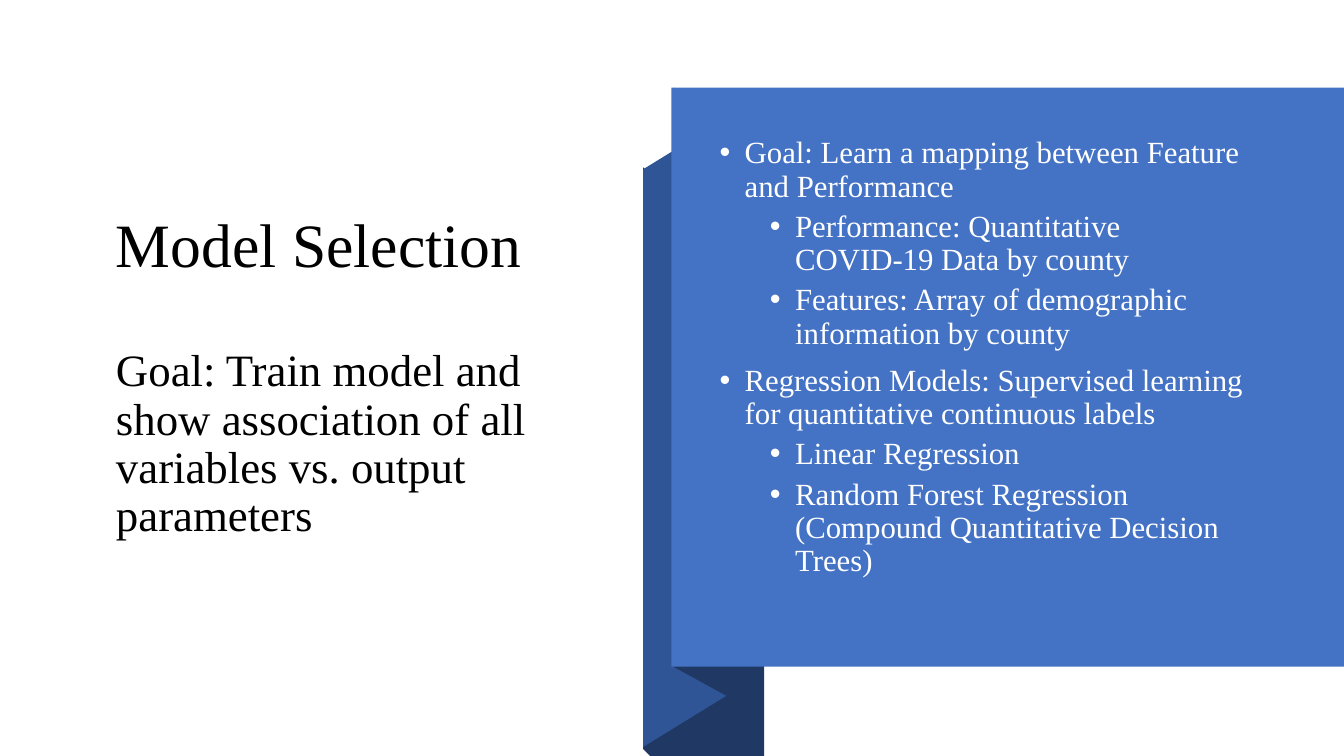
from dataclasses import dataclass

from lxml.etree import SubElement as Sub
from pptx import Presentation as Deck
from pptx.dml.color import RGBColor as Color
from pptx.enum.shapes import MSO_SHAPE as Shape
from pptx.enum.text import MSO_ANCHOR as Anchor, MSO_AUTO_SIZE as Fit, PP_ALIGN as Align
from pptx.oxml.ns import qn
from pptx.util import Inches, Pt


@dataclass(frozen=True)
class Theme:
    font: str = "Times New Roman"
    ink: str = "000000"
    paper: str = "FFFFFF"
    panel: str = "4472C4"
    fold: str = "2F5597"
    shade: str = "203864"
    head: int = 44
    sub: int = 32
    body: int = 22


class Page:
    """A title-only slide; lengths are percentages of its width and height."""

    def __init__(self, theme):
        self.theme = theme
        self.deck = Deck()
        self.deck.slide_width, self.deck.slide_height = Inches(13.33), Inches(7.5)
        self.slide = self.deck.slides.add_slide(self.deck.slide_layouts[5])
        self.group = self.slide.shapes.add_group_shape()

    def spot(self, x, y):
        return (round(self.deck.slide_width * x / 100),
                round(self.deck.slide_height * y / 100))

    def area(self, x, y, w, h):
        return self.spot(x, y) + self.spot(w, h)

    def apply(self, item, style):
        for name, value in style.items():
            setattr(item, name, value)

    def paint(self, shape, color):
        shape.shadow.inherit = False
        shape.fill.solid()
        shape.fill.fore_color.rgb = Color.from_string(color)
        shape.line.fill.background()

    def frame(self, shape):
        self.apply(shape.text_frame, dict(
            word_wrap=True, auto_size=Fit.NONE, vertical_anchor=Anchor.MIDDLE))
        return shape.text_frame

    def put(self, para, text, size, color, gap):
        self.apply(para, dict(
            alignment=Align.LEFT, line_spacing=0.9, space_before=Pt(gap)))
        run = para.add_run()
        run.text = text
        self.apply(run.font, dict(name=self.theme.font, size=Pt(size)))
        run.font.color.rgb = Color.from_string(color)

    def title(self, box, head, sub):
        shape = self.slide.shapes.title
        self.apply(shape, dict(zip(("left", "top", "width", "height"), self.area(*box))))
        frame = self.frame(shape)
        self.put(frame.paragraphs[0], head, self.theme.head, self.theme.ink, 0)
        self.put(frame.add_paragraph(), sub, self.theme.sub, self.theme.ink, 48)

    def outline(self, points, color):
        start, *rest = [self.spot(*point) for point in points]
        edge = self.group.shapes.build_freeform(*start, scale=1.0)
        edge.add_line_segments(rest, close=True)
        self.paint(edge.convert_to_shape(), color)

    def rect(self, box, color):
        self.paint(self.group.shapes.add_shape(Shape.RECTANGLE, *self.area(*box)), color)

    def bullets(self, box, items):
        frame = self.frame(self.slide.shapes.add_textbox(*self.area(*box)))
        for i, (level, text) in enumerate(items):
            para = frame.add_paragraph() if i else frame.paragraphs[0]
            para.level = level
            props = para._p.get_or_add_pPr()
            props.set("marL", str(Inches(0.25 + 0.5 * level)))
            props.set("indent", str(Inches(-0.25)))
            Sub(props, qn("a:buFont")).set("typeface", "Arial")
            Sub(props, qn("a:buChar")).set("char", "•")
            gap = (5 if level else 10) if i else 0
            self.put(para, text, self.theme.body, self.theme.paper, gap)


def main():
    theme = Theme()
    page = Page(theme)

    # Heading on the left
    page.title((7.88, 16.4, 34.35, 67.2), "Model Selection",
               "Goal: Train model and show association of all variables vs. output parameters")

    # Folded ribbon behind the panel
    left, right = 47.85, 56.85
    page.outline([(left, 22.13), (right, 38.8), (right, 100), (48.38, 100),
                  (left, 99.07)], theme.shade)
    page.outline([(left, 98.8), (54.08, 92), (54.08, 15.6), (left, 22.4)], theme.fold)
    page.outline([(50.18, 88.27), (54.15, 92.13), (54.15, 15.47), (50.18, 11.6)],
                 theme.shade)

    # Panel with the bullet list
    page.rect((49.95, 11.6, 50.05, 76.6), theme.panel)
    page.bullets((52.8, 16.4, 41.55, 61.87), [
        (0, "Goal: Learn a mapping between Feature and Performance"),
        (1, "Performance: Quantitative COVID-19 Data by county"),
        (1, "Features: Array of demographic information by county"),
        (0, "Regression Models: Supervised learning for quantitative continuous labels"),
        (1, "Linear Regression"),
        (1, "Random Forest Regression (Compound Quantitative Decision Trees)"),
    ])

    page.deck.save("out.pptx")


if __name__ == "__main__":
    main()
